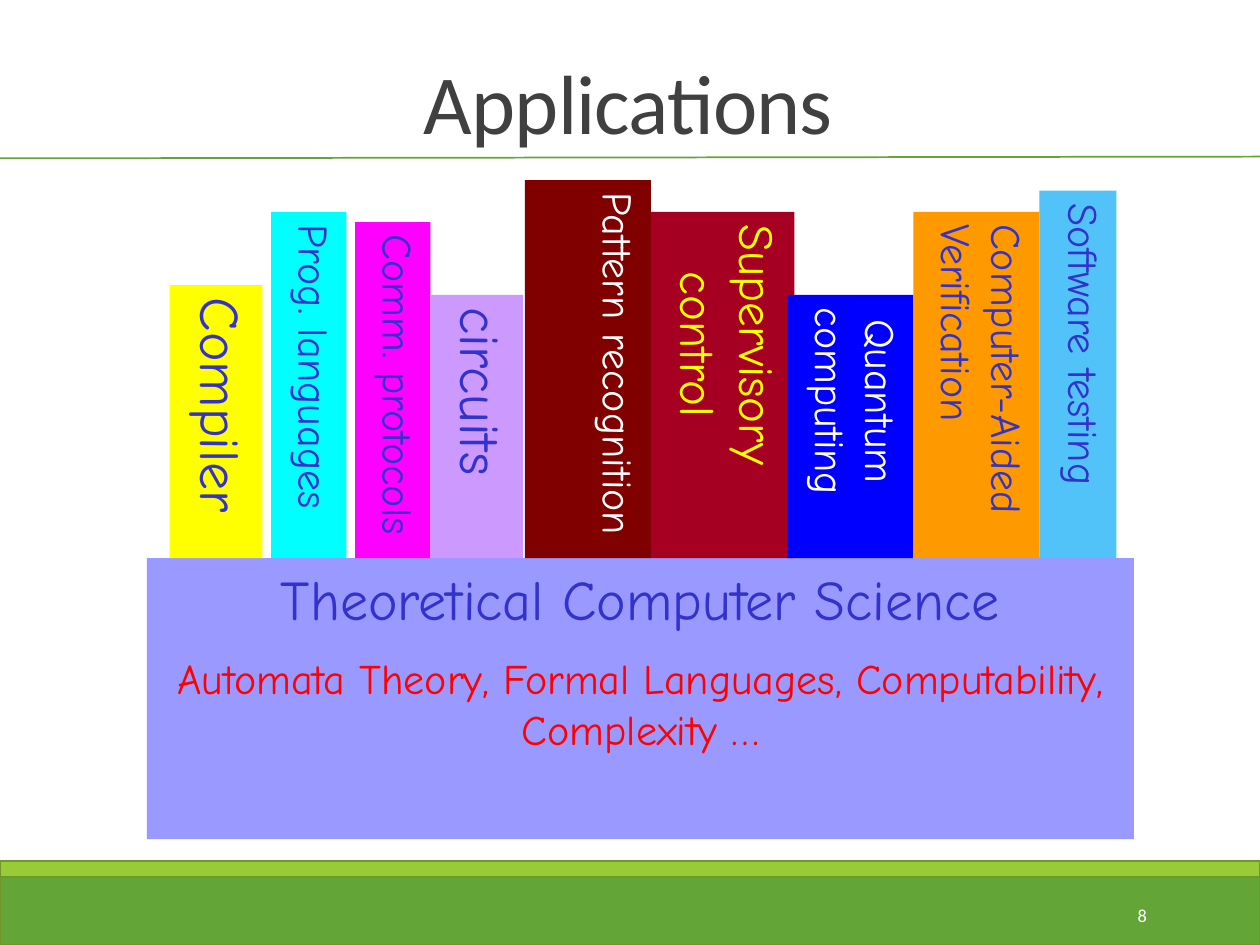
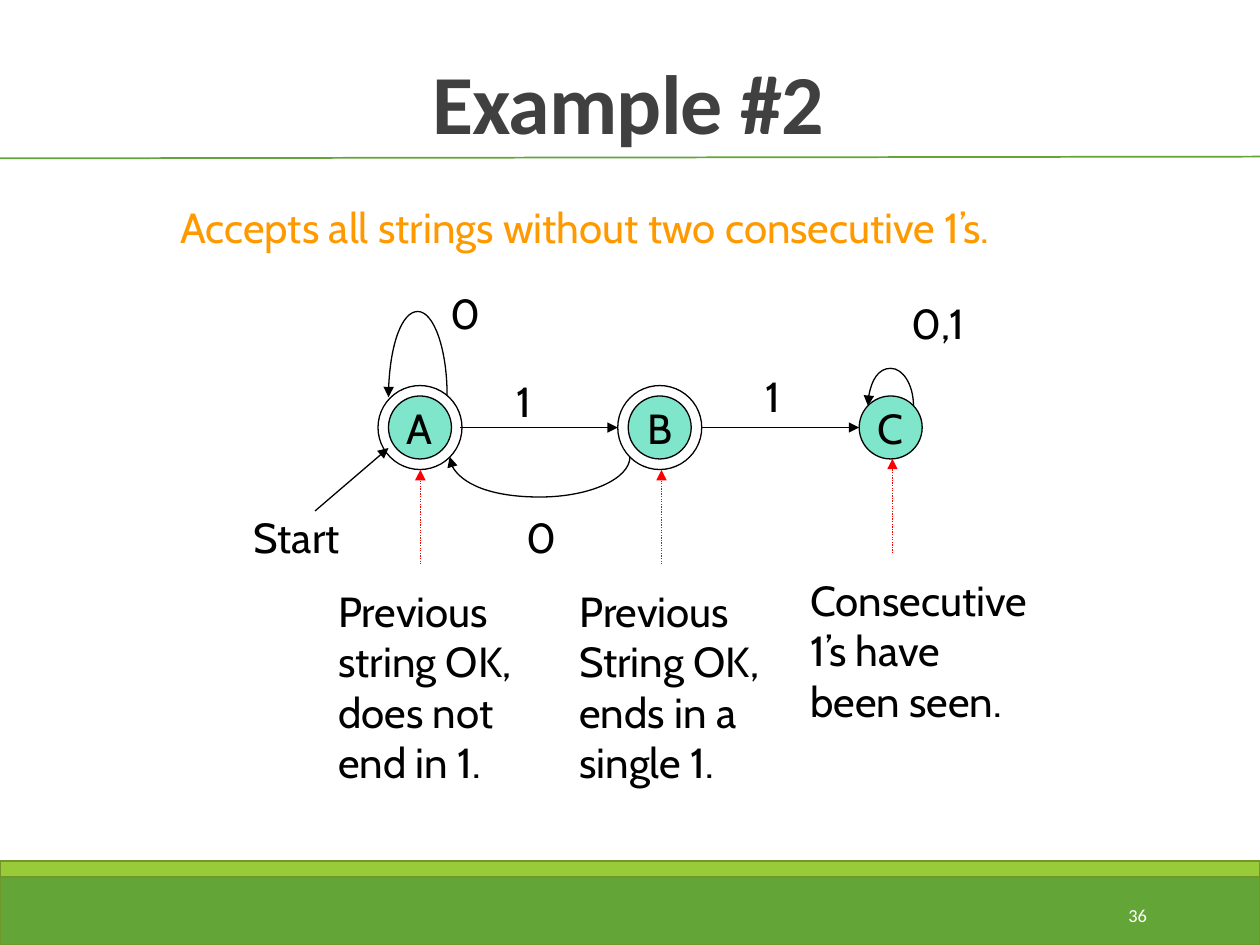
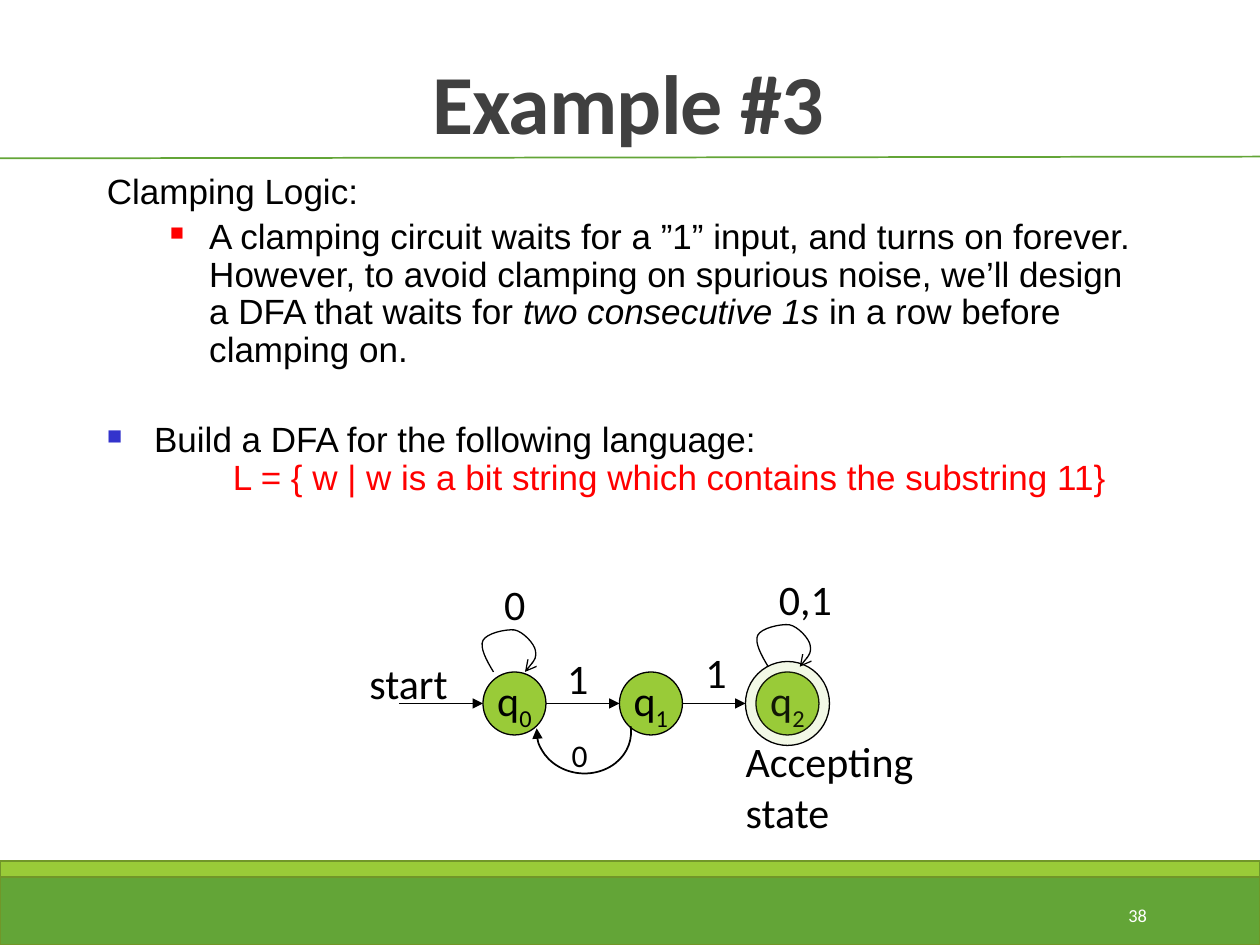
from lxml.etree import SubElement
from pptx import Presentation
from pptx.dml.color import RGBColor
from pptx.enum.dml import MSO_LINE
from pptx.enum.shapes import MSO_CONNECTOR, MSO_SHAPE
from pptx.enum.text import MSO_ANCHOR, MSO_AUTO_SIZE, PP_ALIGN
from pptx.oxml.ns import qn
from pptx.util import Pt

# Colours
BLACK = RGBColor(0x00, 0x00, 0x00)
WHITE = RGBColor(0xFF, 0xFF, 0xFF)
RED = RGBColor(0xFF, 0x00, 0x00)
YELLOW = RGBColor(0xFF, 0xFF, 0x00)
ORANGE = RGBColor(0xFF, 0x99, 0x00)
INDIGO = RGBColor(0x33, 0x33, 0xCC)
CYAN = RGBColor(0x00, 0xFF, 0xFF)
MAGENTA = RGBColor(0xFF, 0x00, 0xFF)
LILAC = RGBColor(0xCC, 0x99, 0xFF)
MAROON = RGBColor(0x80, 0x00, 0x00)
CRIMSON = RGBColor(0xA5, 0x00, 0x21)
BLUE = RGBColor(0x00, 0x00, 0xFF)
SKY = RGBColor(0x51, 0xC3, 0xF9)
PERIWINKLE = RGBColor(0x99, 0x99, 0xFF)
TEAL = RGBColor(0x00, 0xCC, 0x99)
GREEN = RGBColor(0x63, 0xA5, 0x37)
LIME = RGBColor(0x99, 0xCB, 0x38)
OLIVE = RGBColor(0x71, 0x96, 0x29)
GREY = RGBColor(0x40, 0x40, 0x40)

# Fonts
HEAD, HAND, ROUND, BODY = "Calibri", "Comic Neue", "Cabin", "Arial"
LEFT, CENTER, RIGHT = PP_ALIGN.LEFT, PP_ALIGN.CENTER, PP_ALIGN.RIGHT


# Text
def set_values(obj, values):
    for name, value in values.items():
        setattr(obj, name, value)


def add_run(p, text, font, size, color, **extra):
    r = p.add_run()
    r.text = text
    set_values(r.font, {"name": font, "size": Pt(size), **extra})
    r.font.color.rgb = color
    return r


def add_textbox(s, x, y, w, h, **frame):
    tf = s.shapes.add_textbox(Pt(x), Pt(y), Pt(w), Pt(h)).text_frame
    set_values(tf, {"word_wrap": True, **frame})
    return tf


def add_label(s, x, y, w, text, font, size=24, color=BLACK):
    lines = text.split("\n")
    tf = add_textbox(s, x, y, w, size * 1.2 * len(lines) + 7.2,
                     word_wrap=False, auto_size=MSO_AUTO_SIZE.SHAPE_TO_FIT_TEXT)
    for i, line in enumerate(lines):
        p = tf.paragraphs[0] if i == 0 else tf.add_paragraph()
        add_run(p, line, font, size, color)


# Shapes
def add_box(s, kind, x, y, w, h, fill=None, line=None, weight=0.75, alpha=None):
    sp = s.shapes.add_shape(kind, Pt(x), Pt(y), Pt(w), Pt(h))
    sp.shadow.inherit = False
    if fill is None:
        sp.fill.background()
    else:
        sp.fill.solid()
        sp.fill.fore_color.rgb = fill
        if alpha:
            rgb = sp._element.spPr.find(".//" + qn("a:srgbClr"))
            SubElement(rgb, qn("a:alpha"), val=str(alpha * 1000))
    if line is None:
        sp.line.fill.background()
    else:
        sp.line.color.rgb = line
        sp.line.width = Pt(weight)
    return sp


def add_arrowhead(sp, end="tailEnd", kind="triangle"):
    SubElement(sp._element.spPr.get_or_add_ln(), qn("a:" + end), type=kind)


def add_line(s, x1, y1, x2, y2, color=BLACK, weight=0.75, dash=None, arrow=True):
    cn = s.shapes.add_connector(MSO_CONNECTOR.STRAIGHT, Pt(x1), Pt(y1), Pt(x2), Pt(y2))
    cn.line.color.rgb = color
    set_values(cn.line, {"width": Pt(weight), "dash_style": dash})
    if arrow:
        add_arrowhead(cn)
    SubElement(cn._element.spPr, qn("a:effectLst"))


def add_curve(s, points, head="triangle"):
    """Draw cubic curves: a start, then three points for each segment."""
    start, *rest = [(Pt(x), Pt(y)) for x, y in points]
    builder = s.shapes.build_freeform(*start)
    builder.add_line_segments(rest, close=False)
    sp = builder.convert_to_shape()
    outline = sp._element.find(".//" + qn("a:path"))
    lines = list(outline)[1:]
    for i in range(0, len(lines), 3):
        cubic = SubElement(outline, qn("a:cubicBezTo"))
        for line in lines[i:i + 3]:
            cubic.append(line[0])
            outline.remove(line)
    sp.shadow.inherit = False
    sp.fill.background()
    sp.line.color.rgb = BLACK
    sp.line.width = Pt(0.75)
    add_arrowhead(sp, kind=head)


def add_u_turn(s, x1, y1, x2, y2, apex):
    """Leave and arrive vertically, turning at the height of apex."""
    mid, k = (x1 + x2) / 2, 0.55
    add_curve(s, [(x1, y1),
                  (x1, y1 + k * (apex - y1)), (mid + k * (x1 - mid), apex), (mid, apex),
                  (mid + k * (x2 - mid), apex), (x2, y2 + k * (apex - y2)), (x2, y2)])


# Automaton parts
def add_state(s, x, y, name, font, fill, alpha=None, sub=""):
    sp = add_box(s, MSO_SHAPE.OVAL, x - 18, y - 18, 36, 36, fill, BLACK, alpha=alpha)
    set_values(sp.text_frame, {"word_wrap": False, "vertical_anchor": MSO_ANCHOR.MIDDLE})
    p = sp.text_frame.paragraphs[0]
    p.alignment = CENTER
    add_run(p, name, font, 24, BLACK)
    if sub:
        r = add_run(p, sub, font, 24, BLACK)
        r.font._element.set("baseline", "-25000")


def add_ring(s, x, y, fill=None, alpha=None):
    add_box(s, MSO_SHAPE.OVAL, x - 24, y - 24, 48, 48, fill, BLACK, alpha=alpha)


def add_remark(s, x, tip, w, text):
    add_line(s, x, tip + 54, x, tip, RED, dash=MSO_LINE.ROUND_DOT)
    add_label(s, x - 54, tip + 62.5, w, text, ROUND)


def add_self_loop(s, x, y):
    steps = [(0, 0), (-4, -6.5), (-8, -14), (-6, -18), (-4, -22), (6.5, -24.5), (12, -24),
             (17, -23), (23.5, -16), (24, -12), (24.5, -8), (22, -4), (18, 0)]
    add_curve(s, [(x + dx, y + dy) for dx, dy in steps], "arrow")


# Frame shared by all slides
def add_base_slide(prs, title, number, bold=False):
    s = prs.slides.add_slide(prs.slide_layouts[6])
    add_box(s, MSO_SHAPE.RECTANGLE, 0, 498, 720, 42, GREEN, OLIVE, 1.25)
    add_box(s, MSO_SHAPE.RECTANGLE, 0, 492, 720, 9.4, LIME, OLIVE, 1.25)
    add_line(s, -2, 90.5, 720, 89.5, GREEN, 1, arrow=False)
    tf = add_textbox(s, 35, 18, 648, 72, vertical_anchor=MSO_ANCHOR.BOTTOM)
    p = tf.paragraphs[0]
    set_values(p, {"alignment": CENTER, "line_spacing": 0.85})
    r = add_run(p, title, HEAD, 48, GREY, bold=bold)
    r.font._element.set("spc", "-50")
    tf = add_textbox(s, 584.6, 508.3, 77.8, 28.8, vertical_anchor=MSO_ANCHOR.MIDDLE)
    tf.paragraphs[0].alignment = RIGHT
    add_run(tf.paragraphs[0], str(number), HEAD, 10.5, WHITE)
    return s


# Slide: applications standing on theory
SHELF = 319
BOOKS = [  # left, top, width, text, size, fill, text colour, alignment
    (97, 163, 53, "Compiler", 32, YELLOW, INDIGO, LEFT),
    (155, 121, 43, "Prog. languages", 24, CYAN, INDIGO, LEFT),
    (203, 127, 43, "Comm. protocols", 24, MAGENTA, INDIGO, LEFT),
    (246, 168.5, 53, "circuits", 32, LILAC, INDIGO, CENTER),
    (300, 103, 72, "Pattern recognition", 24, MAROON, WHITE, CENTER),
    (372, 121, 82, "Supervisory control", 28, CRIMSON, YELLOW, CENTER),
    (450, 168.5, 72, "Quantum computing", 24, BLUE, WHITE, CENTER),
    (522, 121, 72, "Computer-Aided Verification", 24, ORANGE, INDIGO, LEFT),
    (594, 109, 44, "Software testing", 24, SKY, INDIGO, LEFT),
]


def add_block(s, x, y, w, h, fill, rows, align, vertical=False):
    sp = add_box(s, MSO_SHAPE.RECTANGLE, x, y, w, h, fill)
    tf = sp.text_frame
    set_values(tf, {"word_wrap": True, "vertical_anchor": MSO_ANCHOR.TOP,
                    "auto_size": MSO_AUTO_SIZE.SHAPE_TO_FIT_TEXT})
    if vertical:
        tf._txBody.bodyPr.set("vert", "eaVert")
    for i, (text, size, color) in enumerate(rows):
        p = tf.add_paragraph() if i else tf.paragraphs[0]
        set_values(p, {"alignment": align, "space_before": Pt(size / 2 if i else 0)})
        add_run(p, text, HAND, size, color)


def build_applications(prs):
    s = add_base_slide(prs, "Applications", 8)
    add_block(s, 84, SHELF, 564, 160.5, PERIWINKLE, [
        ("Theoretical Computer Science", 32, INDIGO),
        ("Automata Theory, Formal Languages, Computability, Complexity …", 24, RED),
    ], CENTER)
    for x, top, w, text, size, fill, color, align in BOOKS:
        add_block(s, x, top, w, SHELF - top, fill, [(text, size, color)], align, True)


# Slide: no two consecutive 1's
def build_example_2(prs):
    s = add_base_slide(prs, "Example #2", 36, bold=True)
    y, centers = 244.3, {"A": 240, "B": 377, "C": 509}
    add_u_turn(s, 255.5, 226, 222, 227, 178)
    for name, x in centers.items():
        add_state(s, x, y, name, ROUND, TEAL, alpha=50)
    for name in "AB":
        add_ring(s, centers[name], y)
    add_line(s, 180, 292, 222, 256)
    for x in (263, 401):
        add_line(s, x, y, x + 90, y)
    add_u_turn(s, 360, 261, 257, 261, 284)
    add_u_turn(s, 522, 232, 496, 232, 210.5)
    for x, top, w, text in [(138, 289, 65, "Start"), (288, 211, 27, "1"),
                            (294, 289, 27, "0"), (430.5, 208, 27, "1"),
                            (250.5, 160.5, 27, "0"), (514, 166.5, 48, "0,1")]:
        add_label(s, x, top, w, text, ROUND)
    add_remark(s, 240.2, 268.5, 119.5, "Previous\nstring OK,\ndoes not\nend in 1.")
    add_remark(s, 378, 268.5, 122.5, "Previous\nString OK,\nends in a\nsingle 1.")
    add_remark(s, 510, 262.2, 141, "Consecutive\n1’s have\nbeen seen.")
    add_label(s, 96, 111.5, 512.5, "Accepts all strings without two consecutive 1’s.",
              ROUND, color=ORANGE)


# Slide: clamping circuit
def add_item(p, margin, indent, before=4, level=0, bullet=None):
    set_values(p, {"level": level, "line_spacing": 0.9, "space_before": Pt(before)})
    pPr = p._p.get_or_add_pPr()
    pPr.set("marL", str(Pt(margin)))
    pPr.set("indent", str(Pt(indent)))
    if bullet:
        color, percent = bullet
        SubElement(SubElement(pPr, qn("a:buClr")), qn("a:srgbClr"), val=str(color))
        SubElement(pPr, qn("a:buSzPct"), val=str(percent * 1000))
        SubElement(pPr, qn("a:buChar"), char="■")


def add_clamping_text(s):
    tf = add_textbox(s, 54, 96, 609, 324)
    p = tf.paragraphs[0]
    add_item(p, 27, -27)
    add_run(p, "Clamping Logic:", BODY, 20, BLACK)
    p = tf.add_paragraph()
    add_item(p, 58.5, -22.5, level=1, bullet=(RED, 55))
    add_run(p, "A clamping circuit waits for a ”1” input, and turns on forever. "
               "However, to avoid clamping on spurious noise, we’ll design a DFA "
               "that waits for ", BODY, 20, BLACK)
    add_run(p, "two consecutive 1s", BODY, 20, BLACK, italic=True)
    add_run(p, " in a row before clamping on.", BODY, 20, BLACK)
    p = tf.add_paragraph()
    add_item(p, 27, -27, before=30, bullet=(INDIGO, 60))
    add_run(p, "Build a DFA for the following language:", BODY, 20, BLACK)
    p = tf.add_paragraph()
    add_item(p, 72, 0, before=0)
    add_run(p, "L = { w | w is a bit string which contains the substring 11}",
            BODY, 20, RED)


def add_return_arc(s):
    sp = add_box(s, MSO_SHAPE.ARC, 309.6, 391, 48, 54, line=BLACK, weight=1)
    sp.adjustments[0], sp.adjustments[1] = 162, 60.1
    sp.rotation = 273.8
    sp._element.spPr.xfrm.set("flipH", "1")
    add_arrowhead(sp, "headEnd")


def build_example_3(prs):
    s = add_base_slide(prs, "Example #3", 38, bold=True)
    add_clamping_text(s)
    y, first, pitch = 402, 294, 78
    for i in range(3):
        add_state(s, first + i * pitch, y, "q", HEAD, LIME, sub=str(i))
    add_ring(s, first + 2 * pitch, y, LIME, alpha=12)
    for x1, x2 in [(228, 276), (312, 354), (390, 426)]:
        add_line(s, x1, y, x2, y)
    add_self_loop(s, 282, 384)
    add_self_loop(s, 439, 381)
    for x, top, w, text in [(204, 372, 61, "start"), (317, 369.5, 26.5, "1"),
                            (281, 327, 26.5, "0"), (438, 324, 45, "0,1"),
                            (396, 366, 26.5, "1"), (419, 417, 112, "Accepting\nstate")]:
        add_label(s, x, top, w, text, HEAD)
    add_return_arc(s)
    add_label(s, 319.5, 417, 24, "0", HEAD, 18)


def main():
    prs = Presentation()
    prs.slide_width, prs.slide_height = Pt(720), Pt(540)
    build_applications(prs)
    build_example_2(prs)
    build_example_3(prs)
    prs.save("out.pptx")


if __name__ == "__main__":
    main()
